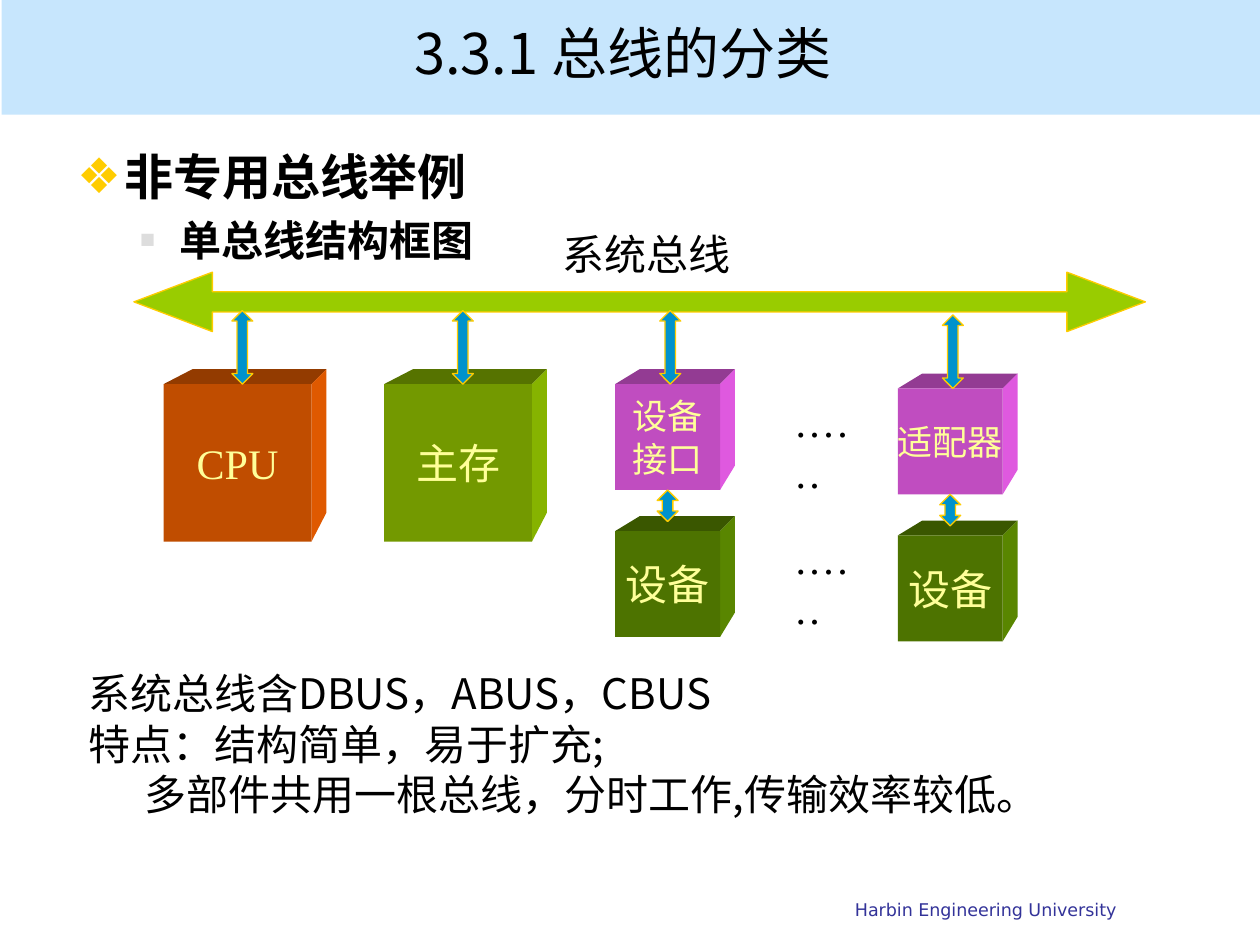
from lxml import etree
from pptx import Presentation
from pptx.dml.color import RGBColor
from pptx.enum.shapes import MSO_SHAPE
from pptx.enum.text import MSO_ANCHOR, PP_ALIGN
from pptx.oxml.ns import qn
from pptx.util import Pt

COLORS = {
    "band": "C7E6FD", "navy": "333399", "black": "000000",
    "gold": "FFCC00", "grey": "DDDDDD", "label": "FFFF99",
    "bus": "99CC00", "link": "0092CC",
}
# Front, top and side faces of each kind of block
CUBES = {
    "cpu": ("C04D00", "933B00", "DF5900"),
    "memory": ("739900", "567300", "86B300"),
    "adapter": ("C04DC0", "933B93", "DF59DF"),
    "device": ("4D7300", "3A5700", "598600"),
}
SANS, CJK, SERIF = "DejaVu Sans", "Noto Sans CJK SC", "Times New Roman"


def rgb(name):
    return RGBColor.from_string(COLORS.get(name, name))


def write(p, text, size=24, color="black", font=CJK, bold=False,
          align=PP_ALIGN.LEFT, before=0, indent=0, hanging=0, bullet=None):
    """Fill one paragraph; bullet is (character, colour, percent)."""
    pPr = p._p.get_or_add_pPr()
    pPr.set("marL", str(Pt(indent)))
    pPr.set("indent", str(Pt(-hanging)))
    p.alignment = align
    p.line_spacing = Pt(round(size * 1.2, 1))
    p.space_before = Pt(before)
    if bullet:
        char, tint, percent = bullet
        clr = etree.SubElement(pPr, qn("a:buClr"))
        etree.SubElement(clr, qn("a:srgbClr"), val=COLORS[tint])
        etree.SubElement(pPr, qn("a:buSzPct"), val=str(percent * 1000))
        etree.SubElement(pPr, qn("a:buFont"), typeface=SANS)
        etree.SubElement(pPr, qn("a:buChar"), char=char)
    r = p.add_run()
    r.text = text
    r.font.size, r.font.bold, r.font.name = Pt(size), bold, font
    r.font.color.rgb = rgb(color)
    r.font._element.find(qn("a:latin")).addnext(
        etree.Element(qn("a:ea"), typeface=CJK))


def add_lines(tf, lines, **fmt):
    """Each line is a string or a (string, extra format) pair."""
    for i, line in enumerate(lines):
        text, extra = (line, {}) if isinstance(line, str) else line
        p = tf.add_paragraph() if i else tf.paragraphs[0]
        write(p, text, **{**fmt, **extra})


def add_text(s, x, y, w, h, *lines, **fmt):
    tf = s.shapes.add_textbox(Pt(x), Pt(y), Pt(w), Pt(h)).text_frame
    tf.word_wrap = True
    add_lines(tf, lines, **fmt)
    return tf


def paint(sp, fill, line=None):
    sp.shadow.inherit = False
    sp.fill.solid()
    sp.fill.fore_color.rgb = rgb(fill)
    if line:
        sp.line.color.rgb = rgb(line)
        sp.line.width = Pt(0.75)
    else:
        sp.line.fill.background()


def add_shape(s, kind, x, y, w, h, fill, line=None, adj=()):
    sp = s.shapes.add_shape(kind, Pt(x), Pt(y), Pt(w), Pt(h))
    paint(sp, fill, line)
    for i, value in enumerate(adj):
        sp.adjustments[i] = value
    return sp


def add_face(s, points, fill):
    corners = [(Pt(x), Pt(y)) for x, y in points]
    builder = s.shapes.build_freeform(*corners[0])
    builder.add_line_segments(corners[1:])
    paint(builder.convert_to_shape(), fill)


def add_cube(s, kind, x, y, w, h, *lines, size=24):
    front, top, side = CUBES[kind]
    depth = 8.5
    taper = 8 + w * 0.1
    right, bottom, back = x + w, y + h, y - depth
    add_face(s, [(x, y), (x + taper, back), (right + depth, back), (right, y)], top)
    add_face(s, [(right, y), (right + depth, back),
                 (right + depth, bottom - taper), (right, bottom)], side)
    sp = add_shape(s, MSO_SHAPE.RECTANGLE, x, y, w, h, front)
    tf = sp.text_frame
    tf.margin_left = tf.margin_right = 0
    tf.vertical_anchor = MSO_ANCHOR.MIDDLE
    tf.word_wrap = False
    add_lines(tf, lines, size=size, color="label", font=SERIF, align=PP_ALIGN.CENTER)


def add_link(s, x, y, h, head):
    add_shape(s, MSO_SHAPE.UP_DOWN_ARROW, x, y, 12, h, "link", "gold", (head, 0.5))


def add_device_column(s, x, y, *lines):
    """An interface block above its device, joined to it and to the bus."""
    add_cube(s, "adapter", x, y, 60, 60.5, *lines, size=20)
    add_cube(s, "device", x, y + 84, 60, 60.5, "设备")
    add_link(s, x + 25.5, y - 42, 42, 0.7)
    add_link(s, x + 24, y + 60.5, 18, 0.3)


def build_header(s, x, y, w, h):
    band = add_shape(s, MSO_SHAPE.RECTANGLE, x, y, w, h, "band")
    title = s.shapes.title
    title._element.addprevious(band._element)
    title.left, title.top, title.width, title.height = Pt(47), Pt(6), Pt(618), Pt(48)
    tf = title.text_frame
    tf.vertical_anchor = MSO_ANCHOR.MIDDLE
    write(tf.paragraphs[0], "3.3.1 总线的分类", size=32, align=PP_ALIGN.CENTER)


def build_outline(s, x, y, w, h):
    add_text(
        s, x, y, w, h,
        ("非专用总线举例", dict(size=28, indent=27, hanging=27,
                         bullet=("❖", "gold", 100))),
        ("单总线结构框图", dict(font=SANS, indent=58.5, hanging=22.5, before=4.8,
                         bullet=("■", "grey", 38))),
        bold=True)


def build_diagram(s, x, y, w):
    # Bus and its name
    add_shape(s, MSO_SHAPE.LEFT_RIGHT_ARROW, x, y, w, 34, "bus", "gold", (0.338, 1.32))
    tf = add_text(s, x + 231, y - 28.5, 117, 36, "系统总线")
    tf.margin_left, tf.margin_right = Pt(14), 0
    # CPU and main memory
    top = y + 64
    for kind, label, dx in (("cpu", "CPU", 17), ("memory", "主存", 143)):
        add_cube(s, kind, x + dx, top, 84.5, 90, label)
        add_link(s, x + dx + 39, top - 42, 42, 0.7)
    # Devices, with dots for those between
    add_device_column(s, x + 275, top, "设备", "接口")
    add_device_column(s, x + 436.5, top + 2.5, "适配器")
    for row in range(2):
        add_text(s, x + 370, top + 10 + 78 * row, 50.5, 64, "······", font=SERIF)


def build_notes(s, x, y, w, h):
    add_text(s, x, y, w, h,
             "系统总线含DBUS，ABUS，CBUS",
             "特点：结构简单，易于扩充;",
             ("多部件共用一根总线，分时工作,传输效率较低。", dict(indent=32)))


def build_footer(s, x, y, w, h):
    add_text(s, x, y, w, h, "Harbin Engineering University",
             size=10, color="navy", font=SANS, align=PP_ALIGN.RIGHT)


def main():
    prs = Presentation()
    prs.slide_width, prs.slide_height = Pt(720), Pt(540)
    s = prs.slides.add_slide(prs.slide_layouts[5])
    build_header(s, 1, 0, 719, 65.5)
    build_outline(s, 37, 80.5, 648, 72)
    build_diagram(s, 76.5, 155.5, 578)
    build_notes(s, 43.5, 378, 623.5, 94)
    build_footer(s, 333, 510, 312, 24)
    prs.save("out.pptx")


if __name__ == "__main__":
    main()
